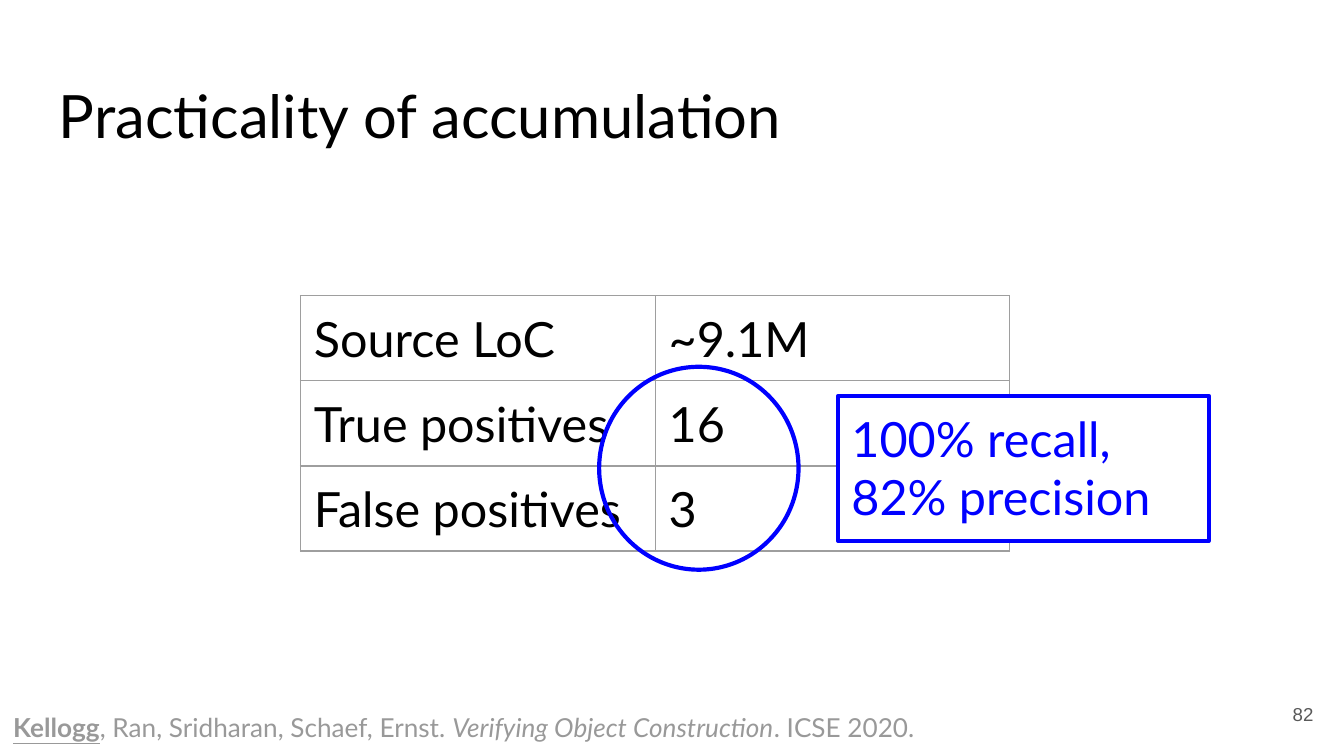
"""Build the slide on the practicality of accumulation, with its results table and callout."""
import dataclasses

import lxml.etree
import pptx
import pptx.dml.color
import pptx.enum.shapes
import pptx.enum.text
import pptx.oxml.ns
import pptx.util


@dataclasses.dataclass(frozen=True)
class Theme:
    font: str = "Lato"
    number_font: str = "Arial"
    ink: str = "000000"
    accent: str = "0000FF"
    paper: str = "FFFFFF"
    grid: str = "9E9E9E"
    citation: str = "999999"
    number: str = "595959"
    title_size: float = 32
    body_size: float = 26
    citation_size: float = 14
    number_size: float = 10
    inset: float = 7.2
    outline: float = 2.25
    grid_line: float = 0.75


theme = Theme()
Pt = pptx.util.Pt
rgb = pptx.dml.color.RGBColor.from_string


def add_span(para, text, size, color, font=theme.font):
    span = para.add_run()
    span.text = text
    span.font.name = font
    span.font.size = Pt(size)
    span.font.color.rgb = rgb(color)
    return span


def set_frame(frame, anchor=pptx.enum.text.MSO_ANCHOR.TOP):
    frame.word_wrap = True
    frame.vertical_anchor = anchor
    frame.margin_left = frame.margin_right = Pt(theme.inset)
    frame.margin_top = frame.margin_bottom = Pt(theme.inset)
    return frame.paragraphs[0]


deck = pptx.Presentation()
deck.slide_width, deck.slide_height = Pt(720), Pt(405)
page = deck.slides.add_slide(deck.slide_layouts[6])
shapes = page.shapes

title = shapes.add_textbox(Pt(24.5), Pt(35), Pt(671), Pt(45))
add_span(set_frame(title.text_frame), "Practicality of accumulation", theme.title_size, theme.ink)

page_number = shapes.add_textbox(Pt(667.5), Pt(367.2), Pt(43.2), Pt(31))
para = set_frame(page_number.text_frame, pptx.enum.text.MSO_ANCHOR.MIDDLE)
para.alignment = pptx.enum.text.PP_ALIGN.RIGHT
add_span(para, "82", theme.number_size, theme.number, theme.number_font)

results = [
    ("Source LoC", "~9.1M"),
    ("True positives", "16"),
    ("False positives", "3"),
]
row_height = 45.5
table = shapes.add_table(
    len(results), 2, Pt(161), Pt(158.4), Pt(380), Pt(row_height * len(results))
).table
table.first_row = table.horz_banding = False
for row, values in zip(table.rows, results):
    row.height = Pt(row_height)
    for cell, value in zip(row.cells, values):
        cell.margin_left = cell.margin_right = Pt(theme.inset)
        cell.margin_top = cell.margin_bottom = Pt(theme.inset)
        add_span(cell.text_frame.paragraphs[0], value, theme.body_size, theme.ink)
        properties = cell._tc.get_or_add_tcPr()
        for side in ("a:lnL", "a:lnR", "a:lnT", "a:lnB"):
            border = lxml.etree.SubElement(
                properties, pptx.oxml.ns.qn(side), w=str(Pt(theme.grid_line))
            )
            fill = lxml.etree.SubElement(border, pptx.oxml.ns.qn("a:solidFill"))
            lxml.etree.SubElement(fill, pptx.oxml.ns.qn("a:srgbClr"), val=theme.grid)
        cell.fill.background()

citation = shapes.add_textbox(Pt(0), Pt(373.7), Pt(509), Pt(18))
para = set_frame(citation.text_frame)
for text, is_author, is_title in [
    ("Kellogg", True, False),
    (", Ran, Sridharan, Schaef, Ernst. ", False, False),
    ("Verifying Object Construction", False, True),
    (". ICSE 2020.", False, False),
]:
    span = add_span(para, text, theme.citation_size, theme.citation)
    span.font.bold = span.font.underline = is_author
    span.font.italic = is_title

preset = pptx.enum.shapes.MSO_SHAPE
circle = shapes.add_shape(preset.OVAL, Pt(321), Pt(196.5), Pt(106.8), Pt(108.7))
callout = shapes.add_shape(preset.RECTANGLE, Pt(449), Pt(212), Pt(198.5), Pt(77.8))
for shape in (circle, callout):
    shape.shadow.inherit = False
    shape.line.color.rgb = rgb(theme.accent)
    shape.line.width = Pt(theme.outline)
circle.fill.background()
callout.fill.solid()
callout.fill.fore_color.rgb = rgb(theme.paper)
para = set_frame(callout.text_frame)
para.alignment = pptx.enum.text.PP_ALIGN.LEFT
add_span(para, "100% recall, 82% precision", theme.body_size, theme.accent)

deck.save("out.pptx")
